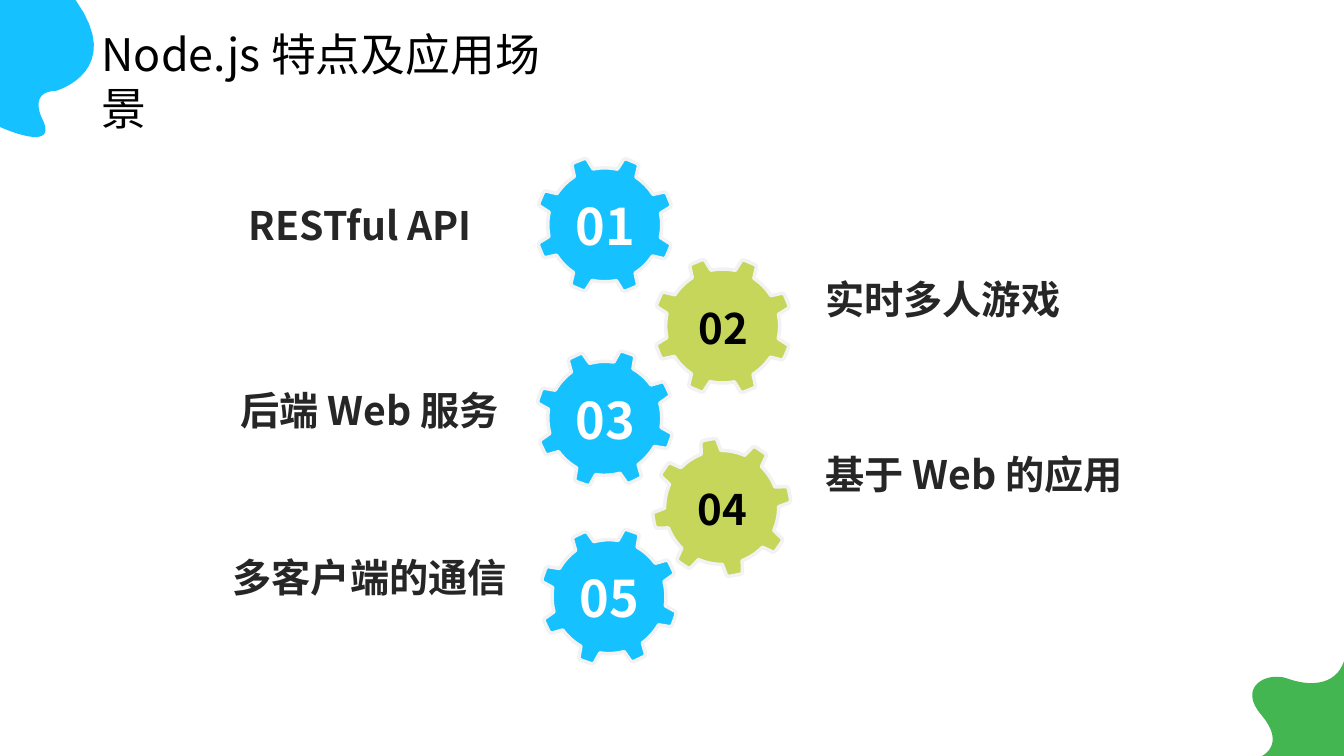
import math
from pptx import Presentation
from pptx import util as u
from pptx.dml.color import RGBColor
from pptx.enum import shapes, text
from pptx.oxml import ns
from lxml import etree

FONT = "Noto Sans CJK SC"


def paint(shape, fill, line=None):
    shape.shadow.inherit = False
    shape.fill.solid()
    shape.fill.fore_color.rgb = RGBColor.from_string(fill)
    if line:
        shape.line.color.rgb = RGBColor.from_string(line)
        shape.line.width = u.Pt(2.5)
    else:
        shape.line.fill.background()


def write(home, words, box, size, color, bold=True, wrap=False, align=text.PP_ALIGN.LEFT):
    frame = home.add_textbox(*[u.Pt(v) for v in box]).text_frame
    frame.word_wrap = wrap
    frame.auto_size = text.MSO_AUTO_SIZE.SHAPE_TO_FIT_TEXT
    frame.text = words
    para = frame.paragraphs[0]
    para.alignment = align
    font = para.runs[0].font
    font.name = FONT
    font.size = u.Pt(size)
    font.bold = bold
    font.color.rgb = RGBColor.from_string(color)
    etree.SubElement(para.runs[0]._r.rPr, ns.qn("a:ea")).set("typeface", FONT)


deck = Presentation()
deck.slide_width = u.Pt(960)
deck.slide_height = u.Pt(540)
slide = deck.slides.add_slide(deck.slide_layouts[6])

blobs = [
    ("15C2FF", (0, 90.7), [
        [(0, 90.7), (41, 109.4), (31, 86.4)],
        [(31, 86.4), (18.7, 65.5), (40.3, 64.8)],
        [(40.3, 64.8), (90, 50.4), (54, 0)],
        [(0, 0), (0, 0), (0, 0)],
    ]),
    ("43B651", (901.4, 540), [
        [(901.4, 540), (918.7, 532), (901.4, 511.2)],
        [(883.4, 491), (904.3, 479.5), (919.4, 484.6)],
        [(934.6, 490.3), (954, 490.3), (960, 472.3)],
        [(960, 540), (960, 540), (960, 540)],
    ]),
]
for color, start, curves in blobs:
    pts, a = [], start
    for b, c, d in curves:
        for step in range(1, 17):
            t = step / 16
            s = 1 - t
            pts.append([u.Pt(s**3 * a[i] + 3 * s * s * t * b[i] + 3 * s * t * t * c[i] + t**3 * d[i])
                        for i in (0, 1)])
        a = d
    pen = slide.shapes.build_freeform(u.Pt(start[0]), u.Pt(start[1]), scale=1)
    pen.add_line_segments(pts, close=True)
    paint(pen.convert_to_shape(), color)

half = [(7.2, 40.1), (6.1, 46.5), (5.9, 48), (5, 49), (3.6, 49.4)]
tooth = [(-x, y) for x, y in half] + half[::-1]
rim = [(40.7 * math.sin(math.radians(g)), 40.7 * math.cos(math.radians(g)))
       for g in (14, 18, 22.5, 27, 31)]
wheel = []
for n in range(8):
    turn = math.radians(23 + 45 * n)
    for x, y in tooth + rim:
        wheel.append((x * math.cos(turn) + y * math.sin(turn),
                      x * math.sin(turn) - y * math.cos(turn)))

items = [
    ("RESTful API", (432, 160.6), 0, (170.6, 140.4, 177.8)),
    ("实时多人游戏", (516.2, 232.9), 0, (582.5, 193, 182.2)),
    ("后端 Web 服务", (432, 298.8), 41.4, (164.9, 272.2, 215.3)),
    ("基于 Web 的应用", (515.5, 362.5), 11.1, (582.5, 318.2, 243.4)),
    ("多客户端的通信", (435, 426.2), 41.4, (159.1, 391.7, 210.2)),
]
for n, (label, (cx, cy), angle, place) in enumerate(items, 1):
    if n % 2:
        fill, ink, size, wide, high = "15C2FF", "FFFFFF", 36, 63.4, 51
    else:
        fill, ink, size, wide, high = "C6D65B", "000000", 30, 54.7, 43.2
        disc = slide.shapes.add_shape(shapes.MSO_SHAPE.OVAL, u.Pt(cx - 27), u.Pt(cy - 27),
                                      u.Pt(54), u.Pt(54))
        disc.rotation = angle
        paint(disc, "FFFFFF")
    group = slide.shapes.add_group_shape().shapes
    pts = [(u.Pt(cx + x), u.Pt(cy + y)) for x, y in wheel]
    pen = group.build_freeform(*pts[0], scale=1)
    pen.add_line_segments(pts[1:], close=True)
    gear = pen.convert_to_shape()
    gear.rotation = angle
    paint(gear, fill, "F2F2F2")
    write(group, label, (*place, 41), 28, "262626")
    write(group, f"{n:02}", (cx - wide / 2 + 0.4, cy - high / 2 + 1, wide, high), size, ink,
          align=text.PP_ALIGN.CENTER)

write(slide.shapes, "Node.js 特点及应用场景", (65.5, 15.8, 357.8, 46), 32, "000000",
      bold=False, wrap=True)

deck.save("out.pptx")
